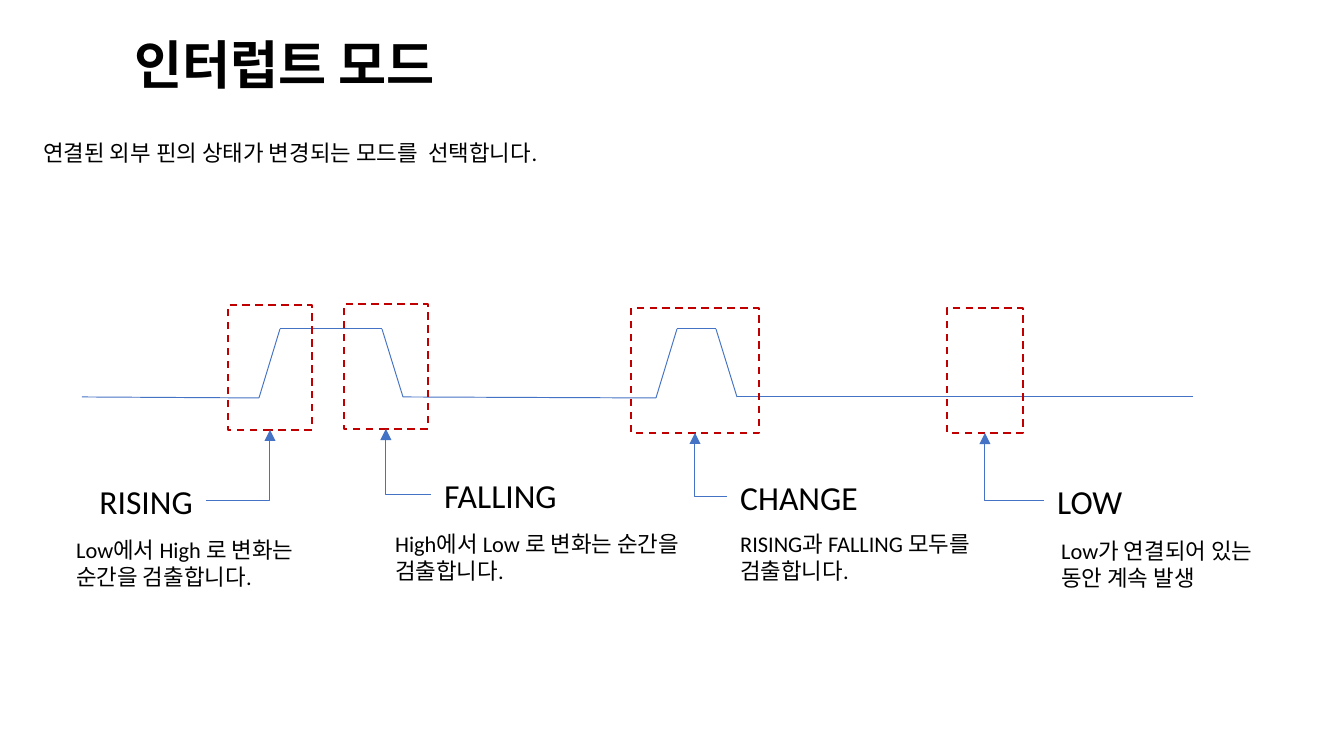
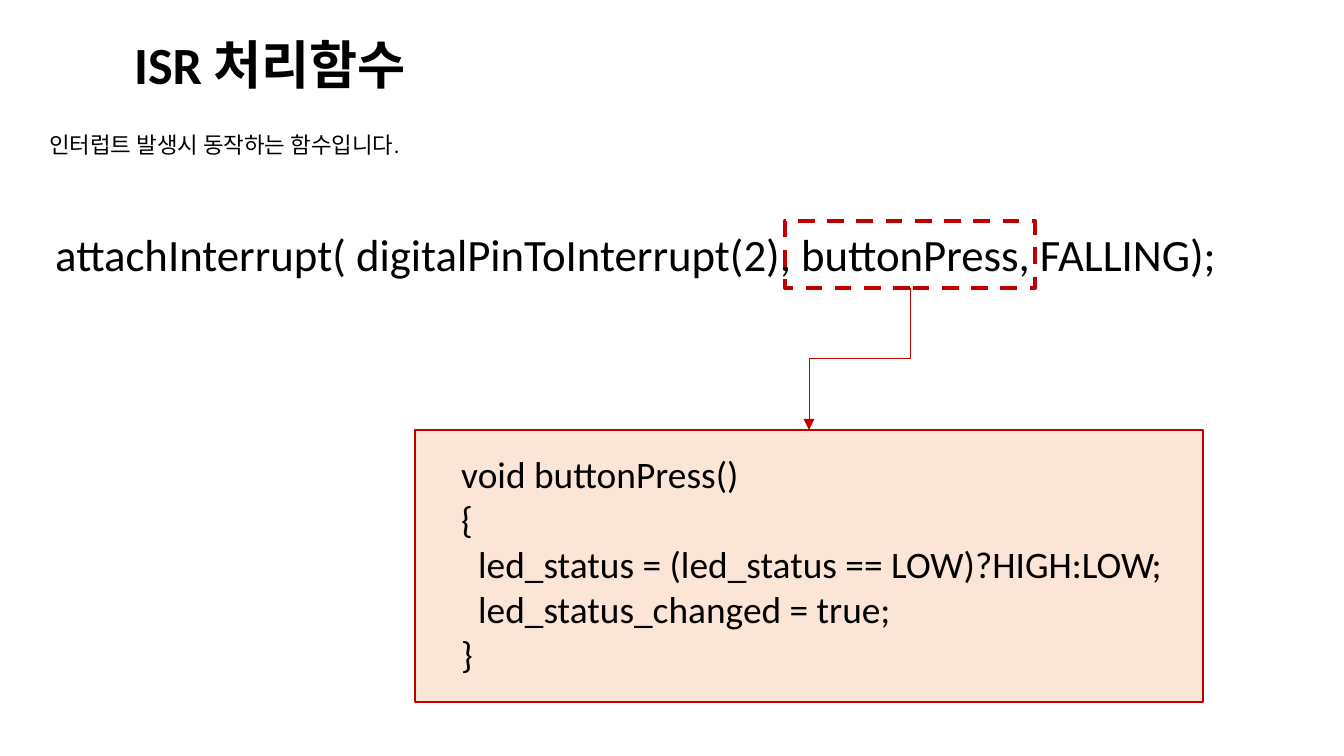
import itertools

import pptx
import pptx.dml.color
import pptx.enum.dml
import pptx.enum.shapes
import pptx.enum.text
import pptx.oxml.ns
import pptx.oxml.xmlchemy
import pptx.util
from lxml import etree

PX = 914400 / 134.4
TOP, LEFT, BOTTOM, RIGHT = range(4)

THEME = {
    "font": "Calibri",
    "ink": "000000",
    "signal": "4472C4",
    "accent": "C00000",
    "code_fill": "FBE5D6",
    "title": 28,
    "call": 24,
    "code": 20,
    "label": 18,
    "body": 12,
    "thin": 0.5,
    "outline": 1,
    "marker": 2.25,
}

SLIDE_SIZE = (1344, 756)
TITLE_AT = (121, 26, 719, 77)

MODES_TITLE = "인터럽트 모드"
MODES_INTRO = ("연결된 외부 핀의 상태가 변경되는 모드를  선택합니다.", (30, 133, 685, 40))
SIGNAL = [
    (82, 397), (259, 398), (280, 329), (382, 329), (403, 397),
    (656, 398), (677, 329), (716, 329), (737, 397), (1193, 397),
]
MODES = [
    {
        "name": "RISING", "name_at": (63, 474, 143, 54), "side": RIGHT,
        "text": "Low에서 High 로 변화는 순간을 검출합니다.",
        "text_at": (63, 530, 300, 67), "window": (228, 305, 84, 125),
    },
    {
        "name": "FALLING", "name_at": (431, 468, 157, 54), "side": LEFT,
        "text": "High에서 Low 로 변화는 순간을 검출합니다.",
        "text_at": (382, 524, 325, 67), "window": (344, 304, 84, 125),
    },
    {
        "name": "CHANGE", "name_at": (727, 470, 157, 54), "side": LEFT,
        "text": "RISING과 FALLING 모두를 검출합니다.",
        "text_at": (727, 524, 265, 67), "window": (631, 308, 128, 125),
    },
    {
        "name": "LOW", "name_at": (1044, 474, 112, 54), "side": LEFT,
        "text": "Low가 연결되어 있는 동안 계속 발생",
        "text_at": (1048, 531, 262, 67), "window": (947, 308, 76, 125),
    },
]

ISR_TITLE = "ISR 처리함수"
ISR_INTRO = ("인터럽트 발생시 동작하는 함수입니다.", (36, 125, 614, 40))
ISR_CALL = (
    "attachInterrupt( digitalPinToInterrupt(2), buttonPress, FALLING);",
    (42, 220, 1232, 67),
)
ISR_CODE = [
    "void buttonPress()",
    "{",
    "  led_status = (led_status == LOW)?HIGH:LOW;",
    "  led_status_changed = true;",
    "}",
]
CODE_PANEL = (415, 430, 788, 272)
CODE_AT = (448, 445, 767, 239)
CALLBACK_MARKER = (785, 221, 250, 67)


def px(*lengths):
    return [pptx.util.Emu(round(length * PX)) for length in lengths]


def color(name):
    return pptx.dml.color.RGBColor.from_string(THEME[name])


def add_text(page, lines, at, size, bold=False, align=None):
    box = page.shapes.add_textbox(*px(*at))
    frame = box.text_frame
    frame.word_wrap = True
    frame.auto_size = pptx.enum.text.MSO_AUTO_SIZE.SHAPE_TO_FIT_TEXT
    for index, line in enumerate(lines):
        para = frame.add_paragraph() if index else frame.paragraphs[0]
        para.alignment = align
        span = para.add_run()
        span.text = line
        span.font.name = THEME["font"]
        span.font.size = pptx.util.Pt(THEME[size])
        span.font.bold = bold
        span.font.color.rgb = color("ink")
    return box


def add_rectangle(page, at, width, fill=None, dashed=False):
    box = page.shapes.add_shape(pptx.enum.shapes.MSO_SHAPE.RECTANGLE, *px(*at))
    box.shadow.inherit = False
    if fill:
        box.fill.solid()
        box.fill.fore_color.rgb = color(fill)
    else:
        box.fill.background()
    box.line.color.rgb = color("accent")
    box.line.width = pptx.util.Pt(THEME[width])
    if dashed:
        box.line.dash_style = pptx.enum.dml.MSO_LINE.DASH
    return box


def add_line(page, kind, start, end, ink):
    line = page.shapes.add_connector(kind, *px(*start, *end))
    line.line.color.rgb = color(ink)
    line.line.width = pptx.util.Pt(THEME["thin"])
    etree.SubElement(line.element.spPr, pptx.oxml.ns.qn("a:effectLst"))
    return line


def add_elbow_arrow(page, source, source_side, target, target_side, ink):
    kind = pptx.enum.shapes.MSO_CONNECTOR.ELBOW
    arrow = add_line(page, kind, (0, 0), (1, 1), ink)
    arrow.begin_connect(source, source_side)
    arrow.end_connect(target, target_side)
    outline = arrow.line._get_or_add_ln()
    etree.SubElement(outline, pptx.oxml.ns.qn("a:tailEnd"), type="triangle")
    return arrow


def bend_once(arrow):
    geometry = arrow.element.spPr.find(pptx.oxml.ns.qn("a:prstGeom"))
    geometry.set("prst", "bentConnector2")


def leave_downward(arrow):
    across, down = arrow.width, arrow.height
    center_x = arrow.left + across // 2
    center_y = arrow.top + down // 2
    frame = arrow.element.spPr.find(pptx.oxml.ns.qn("a:xfrm"))
    frame.attrib.clear()
    frame.set("rot", "5400000")
    arrow.left, arrow.top = center_x - down // 2, center_y - across // 2
    arrow.width, arrow.height = down, across


def add_page(deck, title, intro):
    page = deck.slides.add_slide(deck.slide_layouts[6])
    add_text(page, [title], TITLE_AT, "title", bold=True)
    text, at = intro
    add_text(page, [text], at, "body")
    return page


def build_modes(deck):
    page = add_page(deck, MODES_TITLE, MODES_INTRO)
    straight = pptx.enum.shapes.MSO_CONNECTOR.STRAIGHT
    for start, end in itertools.pairwise(SIGNAL):
        add_line(page, straight, start, end, "signal")
    for mode in MODES:
        align = pptx.enum.text.PP_ALIGN.RIGHT if mode["side"] == RIGHT else None
        label = add_text(page, [mode["name"]], mode["name_at"], "label", align=align)
        add_text(page, [mode["text"]], mode["text_at"], "body")
        window = add_rectangle(page, mode["window"], "outline", dashed=True)
        arrow = add_elbow_arrow(page, label, mode["side"], window, BOTTOM, "signal")
        bend_once(arrow)


def build_isr(deck):
    page = add_page(deck, ISR_TITLE, ISR_INTRO)
    panel = add_rectangle(page, CODE_PANEL, "outline", fill="code_fill")
    text, at = ISR_CALL
    add_text(page, [text], at, "call")
    add_text(page, ISR_CODE, CODE_AT, "code")
    marker = add_rectangle(page, CALLBACK_MARKER, "marker", dashed=True)
    arrow = add_elbow_arrow(page, marker, BOTTOM, panel, TOP, "accent")
    leave_downward(arrow)


def main():
    deck = pptx.Presentation()
    deck.slide_width, deck.slide_height = px(*SLIDE_SIZE)
    build_modes(deck)
    build_isr(deck)
    deck.save("out.pptx")


if __name__ == "__main__":
    main()
